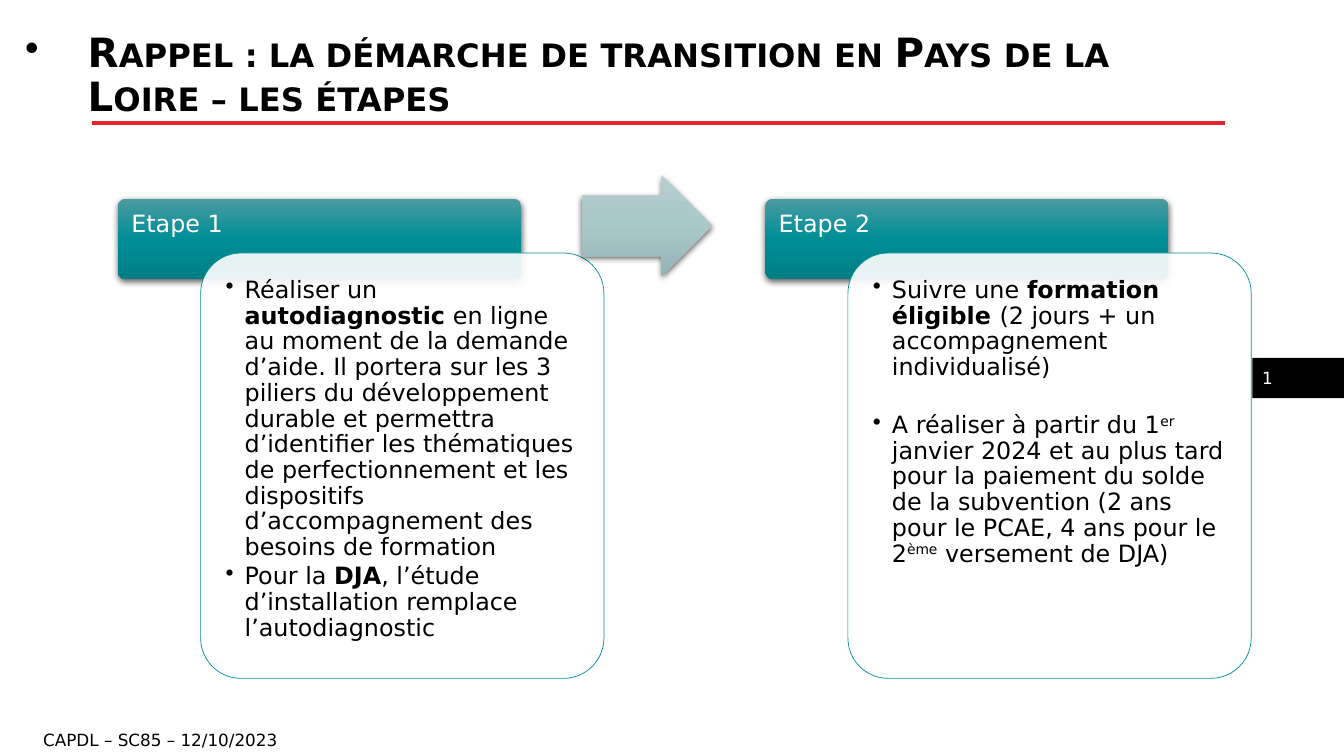
"""Build the slide on the two steps of the transition approach."""
from lxml import etree
from pptx import Presentation
from pptx.dml.color import RGBColor
from pptx.enum.shapes import MSO_CONNECTOR, MSO_SHAPE
from pptx.enum.text import MSO_ANCHOR, PP_ALIGN
from pptx.oxml import parse_xml
from pptx.oxml.ns import qn
from pptx.util import Inches, Pt

TOP, MIDDLE, LEFT = MSO_ANCHOR.TOP, MSO_ANCHOR.MIDDLE, PP_ALIGN.LEFT
ROUNDED, RECTANGLE, ARROW = MSO_SHAPE.ROUNDED_RECTANGLE, MSO_SHAPE.RECTANGLE, MSO_SHAPE.RIGHT_ARROW
STRAIGHT = MSO_CONNECTOR.STRAIGHT
FONT = "DejaVu Sans"
COLORS = {"black": "000000", "white": "FFFFFF", "red": "E5232A", "teal": "008E96"}
HEADER_GRADIENT = ["4B9BA2", "008E96", "007E85"]
ARROW_GRADIENT = ["B5CDD0", "AAC7CA", "95B2B6"]
DRAWING_NS = 'xmlns:a="http://schemas.openxmlformats.org/drawingml/2006/main"'

TITLE = "Rappel : la démarche de transition en Pays de la Loire – les étapes"
FOOTER = "CAPDL – SC85 – 12/10/2023"
PAGE_NUMBER = "1"
STEPS = [
    {"name": "Etape 1", "gap": 2.5, "points": [
        [("Réaliser un ", ""), ("autodiagnostic", "bold"),
         (" en ligne au moment de la demande d’aide. Il portera sur les 3 piliers du "
          "développement durable et permettra d’identifier les thématiques de "
          "perfectionnement et les dispositifs d’accompagnement des besoins de formation", "")],
        [("Pour la ", ""), ("DJA", "bold"),
         (", l’étude d’installation remplace l’autodiagnostic", "")],
    ]},
    {"name": "Etape 2", "gap": 23, "points": [
        [("Suivre une ", ""), ("formation éligible ", "bold"),
         ("(2 jours + un accompagnement individualisé)", "")],
        [("A réaliser à partir du 1", ""), ("er", "super"),
         (" janvier 2024 et au plus tard pour la paiement du solde de la subvention "
          "(2 ans pour le PCAE, 4 ans pour le 2", ""), ("ème", "super"),
         (" versement de DJA)", "")],
    ]},
]

STEP_LEFT, STEP_TOP, STEP_PITCH = 1.17, 1.97, 6.42
STEP_WIDTH, HEADER_HEIGHT, CARD_HEIGHT = 4, 0.8, 4.22
CARD_SHIFT = (0.82, 0.54)


def rgb(name):
    return RGBColor.from_string(COLORS[name])


def write(shape, paragraphs, size=17, color="black", anchor=TOP, insets=(0.1, 0.05, 0.1, 0.05),
          spacing=1, gap=0, bullet_indent=0, bold=False, small_caps=False):
    """Fill a shape with paragraphs, each a list of (text, style) runs."""
    frame = shape.text_frame
    frame.word_wrap = True
    frame.vertical_anchor = anchor
    frame.margin_left, frame.margin_top, frame.margin_right, frame.margin_bottom = map(Inches, insets)
    for index, runs in enumerate(paragraphs):
        paragraph = frame.paragraphs[0] if index == 0 else frame.add_paragraph()
        paragraph.alignment = LEFT
        paragraph.line_spacing = spacing
        paragraph.space_before = Pt(0)
        paragraph.space_after = Pt(gap)
        if bullet_indent:
            properties = paragraph._p.get_or_add_pPr()
            properties.set("marL", str(Inches(bullet_indent)))
            properties.set("indent", str(-Inches(bullet_indent)))
            etree.SubElement(properties, qn("a:buChar")).set("char", "•")
        for text, style in runs:
            run = paragraph.add_run()
            run.text = text
            run.font.name = FONT
            run.font.size = Pt(size)
            run.font.bold = bold or style == "bold"
            run.font.color.rgb = rgb(color)
            if style == "super":
                run.font._element.set("baseline", "30000")
            if small_caps:
                run.font._element.set("cap", "small")


def add_block(slide, kind, box, fill=None, line=None):
    block = slide.shapes.add_shape(kind, *map(Inches, box))
    block.shadow.inherit = False
    if fill:
        block.fill.solid()
        block.fill.fore_color.rgb = rgb(fill)
    if line:
        block.line.color.rgb = rgb(line)
        block.line.width = Pt(0.5)
    else:
        block.line.fill.background()
    return block


def add_raised(slide, kind, box, gradient):
    """Add a block with a vertical gradient and a soft shadow."""
    block = add_block(slide, kind, box)
    block.fill.gradient()
    old_fill = block._element.spPr.find(qn("a:gradFill"))
    stops = "".join(f'<a:gs pos="{index * 50000}"><a:srgbClr val="{value}"/></a:gs>'
                    for index, value in enumerate(gradient))
    old_fill.getparent().replace(old_fill, parse_xml(
        f'<a:gradFill {DRAWING_NS} rotWithShape="1"><a:gsLst>{stops}</a:gsLst>'
        '<a:lin ang="5400000" scaled="0"/></a:gradFill>'))
    block._element.spPr.find(qn("a:effectLst")).append(parse_xml(
        f'<a:outerShdw {DRAWING_NS} blurRad="{Pt(4.5)}" dist="{Pt(1.5)}" dir="5400000" '
        'algn="ctr" rotWithShape="0"><a:srgbClr val="000000"><a:alpha val="63000"/>'
        '</a:srgbClr></a:outerShdw>'))
    return block


def add_step(slide, index, step):
    left = STEP_LEFT + index * STEP_PITCH
    header = add_raised(slide, ROUNDED, (left, STEP_TOP, STEP_WIDTH, HEADER_HEIGHT), HEADER_GRADIENT)
    header.adjustments[0] = 0.1
    write(header, [[(step["name"], "")]], color="white", spacing=0.9, insets=(0.11, 0.11, 0.11, 0.07))

    shift_x, shift_y = CARD_SHIFT
    card = add_block(slide, ROUNDED, (left + shift_x, STEP_TOP + shift_y, STEP_WIDTH, CARD_HEIGHT),
                     fill="white", line="teal")
    card.adjustments[0] = 0.1
    card_color = card._element.spPr.find(qn("a:solidFill")).find(qn("a:srgbClr"))
    etree.SubElement(card_color, qn("a:alpha")).set("val", "90000")
    write(card, step["points"], spacing=0.9, gap=step["gap"], bullet_indent=0.19, insets=(0.13,) * 4)


def main():
    deck = Presentation()
    deck.slide_width, deck.slide_height = Inches(13.33), Inches(7.5)
    slide = deck.slides.add_slide(deck.slide_layouts[5])

    rule = slide.shapes.add_connector(STRAIGHT, *map(Inches, (0.91, 1.22, 12.15, 1.22)))
    rule.line.color.rgb = rgb("red")
    rule.line.width = Pt(2.25)
    etree.SubElement(rule._element.spPr, qn("a:effectLst"))

    title = slide.shapes.title
    title.left, title.top, title.width, title.height = map(Inches, (0.15, 0.29, 12.01, 0.94))
    write(title, [[(TITLE, "")]], size=28.8, anchor=MIDDLE, spacing=0.9, bullet_indent=0.62,
          bold=True, small_caps=True)

    page_tab = add_block(slide, RECTANGLE, (12.42, 3.55, 0.92, 0.4), fill="black")
    write(page_tab, [[(PAGE_NUMBER, "")]], size=12, color="white", anchor=MIDDLE)

    footer = slide.shapes.add_textbox(*map(Inches, (0.33, 7.19, 4.7, 0.3)))
    write(footer, [[(FOOTER, "")]], size=12)

    for index, step in enumerate(STEPS):
        add_step(slide, index, step)

    arrow = add_raised(slide, ARROW, (5.77, 1.74, 1.29, 1), ARROW_GRADIENT)
    arrow.adjustments[0], arrow.adjustments[1] = 0.6, 0.5

    deck.save("out.pptx")


if __name__ == "__main__":
    main()
